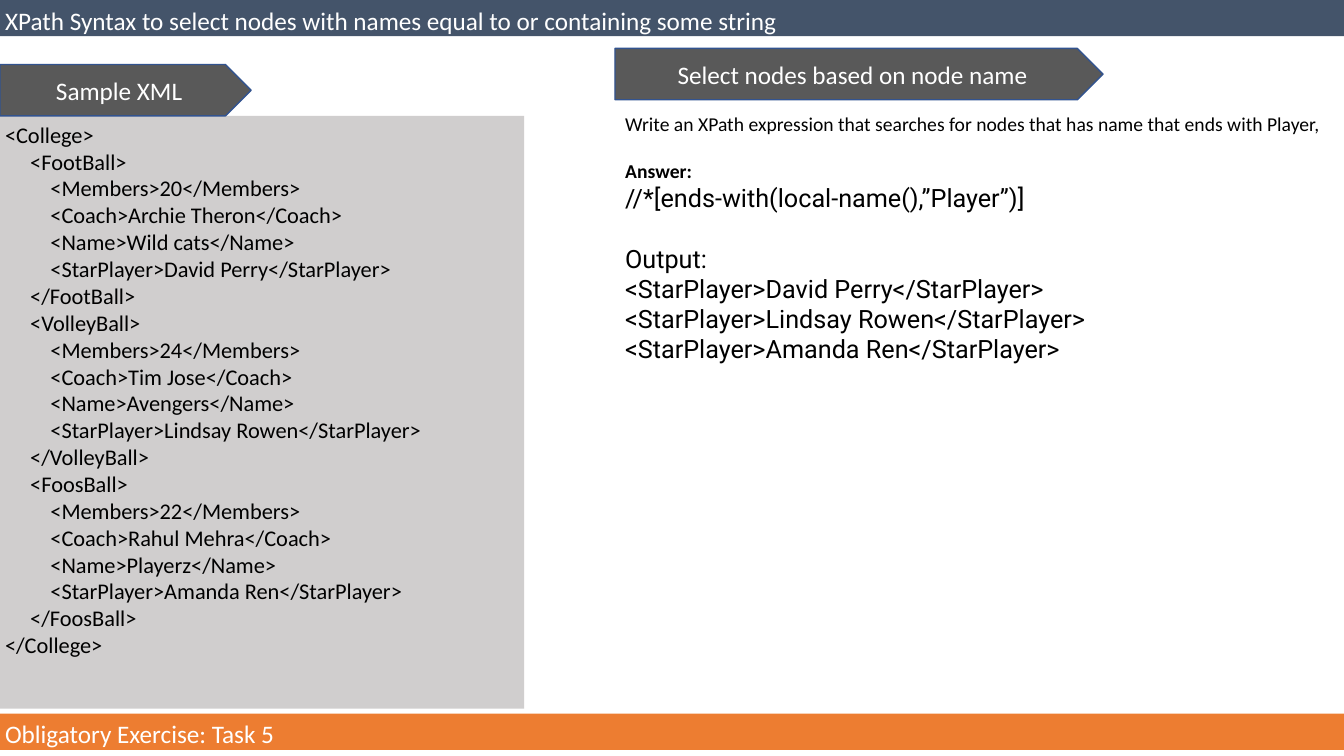
from dataclasses import dataclass

from pptx import Presentation
from pptx import util as u
from pptx.dml.color import RGBColor
from pptx.enum import shapes, text


@dataclass(frozen=True)
class Theme:
    """Colours, fonts and type sizes of the slide."""
    head: str = "44546A"
    foot: str = "ED7D31"
    panel: str = "D0CECE"
    tag: str = "595959"
    edge: str = "32538F"
    dark: str = "000000"
    light: str = "FFFFFF"
    body: str = "Calibri"
    code: str = "Roboto"
    large: int = 18
    mid: int = 16
    small: int = 14


class Deck:
    """Draws on one slide, with a grid of tenths of an inch."""

    def __init__(self, theme):
        """Opens a wide slide with the title-only layout."""
        self.theme = theme
        self.file = Presentation()
        self.file.slide_width = u.Inches(13.33)
        self.file.slide_height = u.Inches(7.5)
        self.slide = self.file.slides.add_slide(self.file.slide_layouts[5])

    def grid(self, *cells):
        """Turns columns and rows into lengths."""
        return [u.Inches(cell / 10) for cell in cells]

    def paint(self, shape, fill, edge=None):
        """Sets a flat fill and an optional thin line."""
        shape.fill.solid()
        shape.fill.fore_color.rgb = RGBColor.from_string(fill)
        if edge:
            shape.line.color.rgb = RGBColor.from_string(edge)
            shape.line.width = u.Pt(1)
        else:
            shape.line.fill.background()

    def label(self, shape, lines, ink, size, align="LEFT", anchor="TOP"):
        """Fills a shape with lines, each with its own format values."""
        frame = shape.text_frame
        look = dict(word_wrap=True, auto_size=text.MSO_AUTO_SIZE.NONE,
                    vertical_anchor=text.MSO_ANCHOR[anchor])
        look.update({f"margin_{side}": u.Inches(0.05)
                     for side in ("left", "top", "right", "bottom")})
        for key, value in look.items():
            setattr(frame, key, value)
        frame.text = "\n".join(line for line, _ in lines)
        for para, (_, own) in zip(frame.paragraphs, lines):
            style = dict(name=self.theme.body, size=size, bold=False) | own
            para.alignment = text.PP_ALIGN[align]
            para.line_spacing = 1.0
            para.space_before = u.Pt(style.pop("before", 0))
            style["size"] = u.Pt(style["size"])
            for key, value in style.items():
                setattr(para.font, key, value)
            para.font.color.rgb = RGBColor.from_string(ink)

    def title(self, words, *cells):
        """Turns the title placeholder into the top band."""
        shape = self.slide.shapes.title
        for key, value in zip(("left", "top", "width", "height"), self.grid(*cells)):
            setattr(shape, key, value)
        self.paint(shape, self.theme.head)
        self.label(shape, [(words, {})], self.theme.light, self.theme.large)

    def block(self, lines, fill, ink, size, *cells):
        """Adds a filled box with text from its top left."""
        shape = self.slide.shapes.add_shape(
            shapes.MSO_SHAPE.RECTANGLE, *self.grid(*cells))
        shape.shadow.inherit = False
        self.paint(shape, fill)
        self.label(shape, lines, ink, size)

    def tag(self, words, *cells):
        """Adds an arrow-shaped heading."""
        shape = self.slide.shapes.add_shape(
            shapes.MSO_SHAPE.PENTAGON, *self.grid(*cells))
        shape.shadow.inherit = False
        self.paint(shape, self.theme.tag, self.theme.edge)
        self.label(shape, [(words, {})], self.theme.light, self.theme.large,
                   "CENTER", "MIDDLE")

    def note(self, lines, *cells):
        """Adds a plain text box."""
        shape = self.slide.shapes.add_textbox(*self.grid(*cells))
        self.label(shape, lines, self.theme.dark, self.theme.small)


SAMPLE = """<College>
     <FootBall>
         <Members>20</Members>
         <Coach>Archie Theron</Coach>
         <Name>Wild cats</Name>
         <StarPlayer>David Perry</StarPlayer>
     </FootBall>
     <VolleyBall>
         <Members>24</Members>
         <Coach>Tim Jose</Coach>
         <Name>Avengers</Name>
         <StarPlayer>Lindsay Rowen</StarPlayer>
     </VolleyBall>
     <FoosBall>
         <Members>22</Members>
         <Coach>Rahul Mehra</Coach>
         <Name>Playerz</Name>
         <StarPlayer>Amanda Ren</StarPlayer>
     </FoosBall>
</College>"""


def main():
    """Builds and saves the slide."""
    theme = Theme()
    deck = Deck(theme)
    code = dict(name=theme.code, size=theme.large)
    stars = ("David Perry", "Lindsay Rowen", "Amanda Ren")
    deck.title("XPath Syntax to select nodes with names equal to or containing some string",
               0, 0, 133.3, 3.6)
    deck.block([(line, {}) for line in SAMPLE.splitlines()],
               theme.panel, theme.dark, theme.mid, 0, 11.5, 52, 58.8)
    deck.tag("Select nodes based on node name", 61, 4.8, 48.4, 5.1)
    deck.note([
        ("Write an XPath expression that searches for nodes that has name "
         "that ends with Player,", {}),
        ("Answer:", dict(bold=True, before=17)),
        ("//*[ends-with(local-name(),”Player”)]", code),
        ("Output:", code | dict(before=21.5)),
        *((f"<StarPlayer>{star}</StarPlayer>", code) for star in stars),
    ], 61.5, 10.6, 70.9, 60)
    deck.tag("Sample XML", 0, 6.4, 24.9, 5.1)
    deck.block([("Obligatory Exercise: Task 5", {})],
               theme.foot, theme.light, theme.large, 0, 70.8, 133.3, 3.6)
    deck.file.save("out.pptx")


if __name__ == "__main__":
    main()
